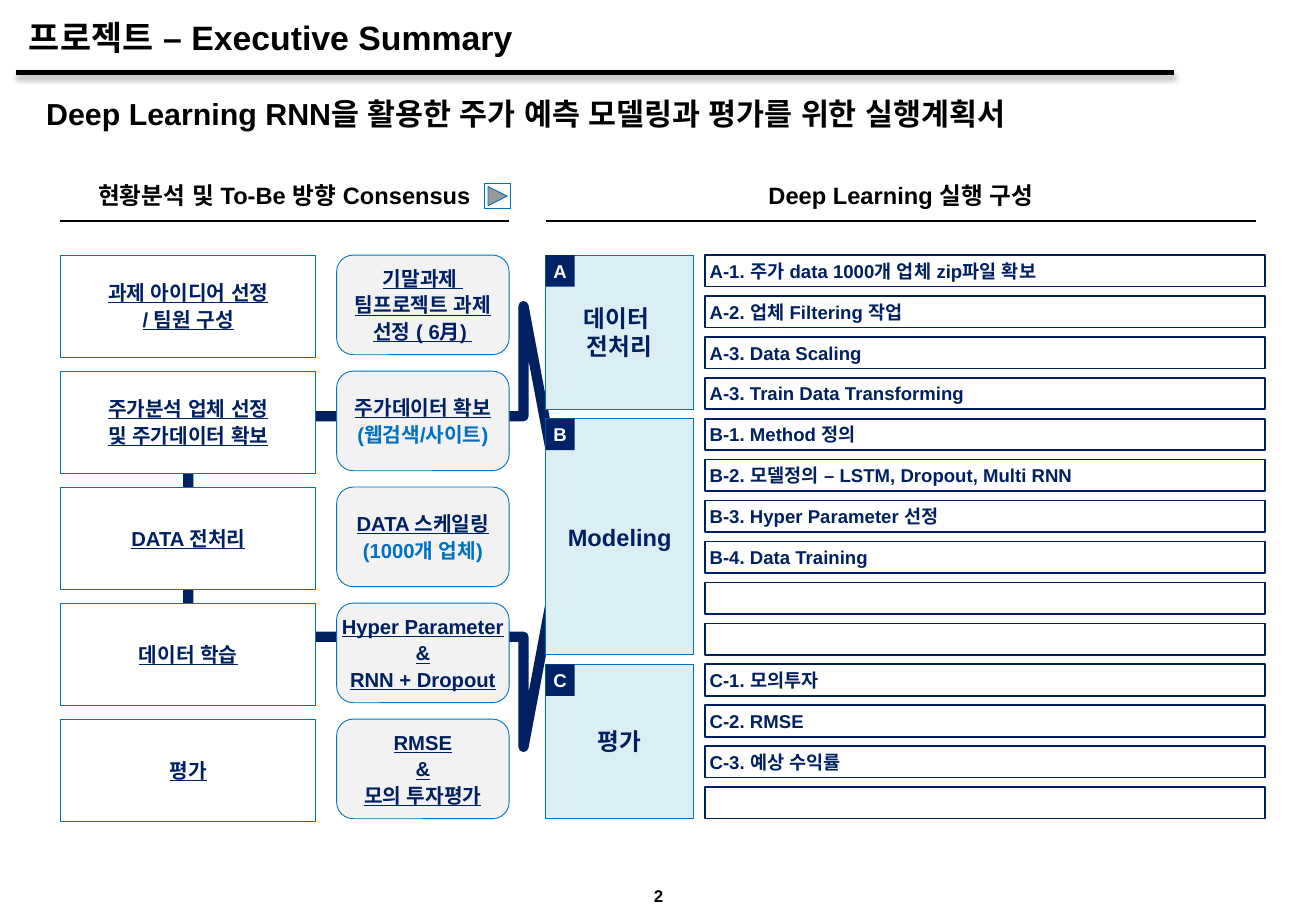
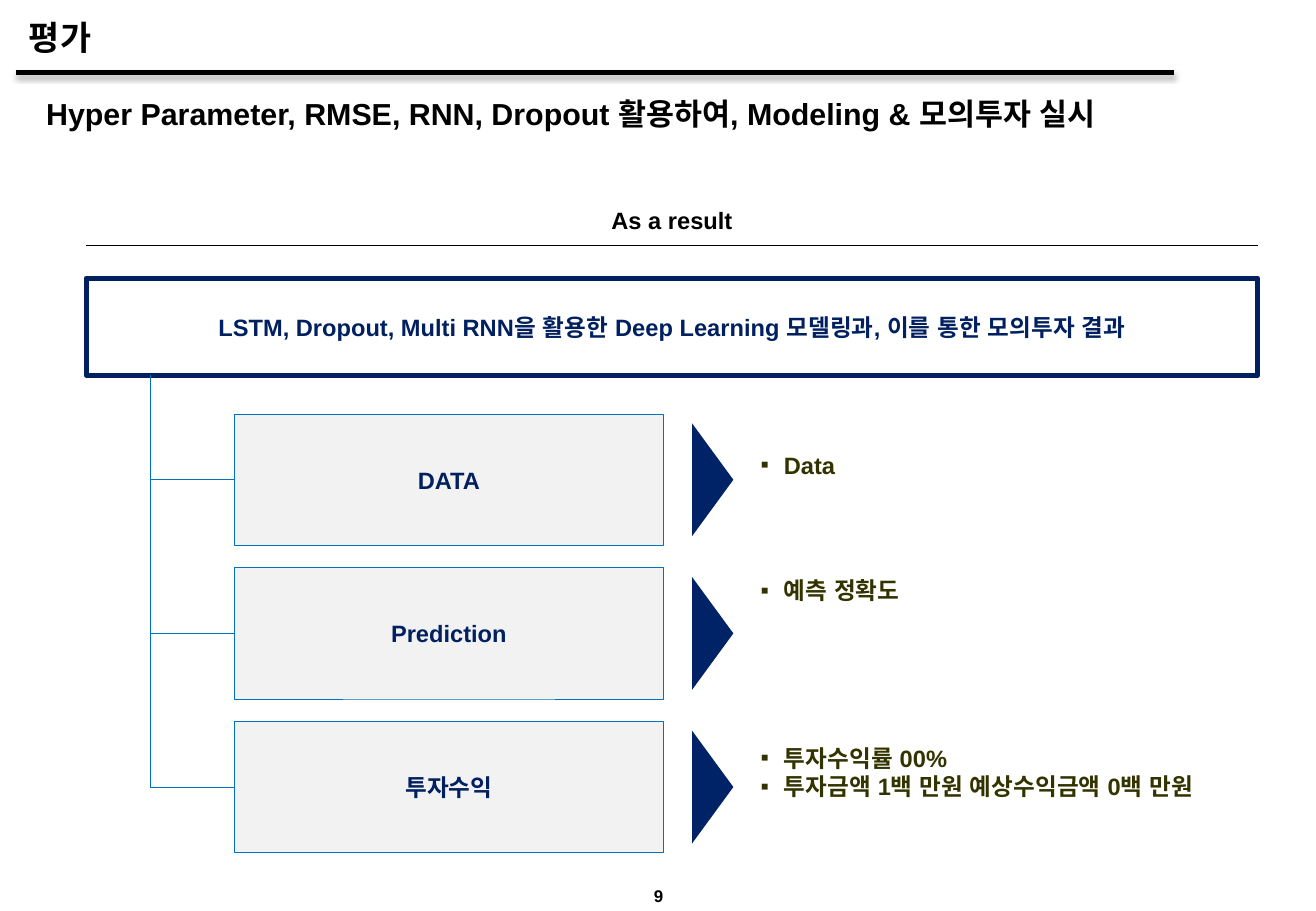
from typing import NamedTuple

from lxml import etree
from pptx import Presentation
from pptx.dml.color import RGBColor
from pptx.enum.shapes import MSO_CONNECTOR as Connector, MSO_SHAPE as Shape
from pptx.enum.text import MSO_ANCHOR as Anchor, PP_ALIGN as Align
from pptx.oxml.ns import qn
from pptx.util import Inches, Pt

FONT = "Arial"
BLACK, WHITE = "000000", "FFFFFF"
NAVY, DEEP_NAVY, BLUE = "002060", "002266", "0070C0"
PALE_BLUE, PALE_GRAY, OLIVE = "DBEEF4", "F2F2F2", "333300"


class Box(NamedTuple):
    """A rectangle in inches."""
    left: float
    top: float
    width: float
    height: float

    def lengths(self):
        """Return the four measures as lengths."""
        return [Inches(value) for value in self]


class Style(NamedTuple):
    """The look of a line of text."""
    size: float = 14
    color: str = BLACK
    underline: bool = False


CARD = Style(12, NAVY, True)
NOTE = Style(12, BLUE)
ITEM = Style(11, NAVY)
LABEL = Style(14, NAVY)

STEPS = [
    (["과제 아이디어 선정", "/ 팀원 구성"], ["기말과제 ", "팀프로젝트 과제", "선정 ( 6月) "], None),
    (["주가분석 업체 선정", "및 주가데이터 확보"], ["주가데이터 확보"], "(웹검색/사이트)"),
    (["DATA 전처리"], ["DATA 스케일링"], "(1000개 업체)"),
    (["데이터 학습"], ["Hyper Parameter", "&", "RNN + Dropout"], None),
    (["평가"], ["RMSE", "&", "모의 투자평가"], None),
]
STAGES = [
    ("A", ["데이터 ", "전처리"], [
        "A-1. 주가 data 1000개 업체 zip파일 확보", "A-2. 업체 Filtering 작업",
        "A-3. Data Scaling", "A-3. Train Data Transforming"]),
    ("B", ["Modeling"], [
        "B-1. Method 정의", "B-2. 모델정의 – LSTM, Dropout, Multi RNN",
        "B-3. Hyper Parameter 선정", "B-4. Data Training", "", ""]),
    ("C", ["평가"], ["C-1. 모의투자", "C-2. RMSE", "C-3. 예상 수익률", ""]),
]
RESULTS = [
    ("DATA", 0.3, ["Data"]),
    ("Prediction", 0.07, ["예측 정확도"]),
    ("투자수익", 0.18, ["투자수익률 00%", "투자금액 1백 만원 예상수익금액 0백 만원"]),
]


def rgb(value):
    """Turn a hex string into a colour."""
    return RGBColor.from_string(value)


def write(shape, lines, align=Align.CENTER, anchor=Anchor.MIDDLE,
          insets=(0, 0), before=0, spacing=None):
    """Write (text, style) lines into a shape and return its paragraphs."""
    frame = shape.text_frame
    frame.word_wrap = True
    frame.vertical_anchor = anchor
    frame.margin_left = frame.margin_right = Inches(insets[0])
    frame.margin_top = frame.margin_bottom = Inches(insets[1])
    for index, (text, style) in enumerate(lines):
        paragraph = frame.add_paragraph() if index else frame.paragraphs[0]
        paragraph.alignment = align
        if before:
            paragraph.space_before = Pt(before)
        if spacing:
            paragraph.line_spacing = spacing
        run = paragraph.add_run()
        run.text = text
        font = run.font
        font.name, font.size, font.bold = FONT, Pt(style.size), True
        font.underline = style.underline
        font.color.rgb = rgb(style.color)
        etree.SubElement(run._r.get_or_add_rPr(), qn("a:ea")).set("typeface", FONT)
    return frame.paragraphs


def add_text(slide, box, lines, **options):
    """Add a text box and return its paragraphs."""
    return write(slide.shapes.add_textbox(*box.lengths()), lines, **options)


def add_figure(slide, kind, box, fill=None, line=None, weight=0.5):
    """Add a preset shape with a flat fill and outline."""
    shape = slide.shapes.add_shape(kind, *box.lengths())
    shape.shadow.inherit = False
    if fill:
        shape.fill.solid()
        shape.fill.fore_color.rgb = rgb(fill)
    else:
        shape.fill.background()
    if line:
        shape.line.color.rgb = rgb(line)
        shape.line.width = Pt(weight)
    else:
        shape.line.fill.background()
    return shape


def add_line(slide, start, end, color=BLACK, weight=0.75, kind=Connector.STRAIGHT):
    """Add a connector without a shadow and return it with its effect list."""
    connector = slide.shapes.add_connector(
        kind, *[Inches(value) for value in (*start, *end)])
    connector.line.color.rgb = rgb(color)
    connector.line.width = Pt(weight)
    effects = etree.SubElement(connector._element.spPr, qn("a:effectLst"))
    return connector, effects


def add_branch(slide, start, end):
    """Add a one-bend connector that runs down and then right."""
    width, height = end[0] - start[0], end[1] - start[1]
    middle_x, middle_y = start[0] + width / 2, start[1] + height / 2
    connector, _ = add_line(
        slide, (middle_x - height / 2, middle_y - width / 2),
        (middle_x + height / 2, middle_y + width / 2), BLUE, 0.5, Connector.ELBOW)
    properties = connector._element.spPr
    properties.find(qn("a:prstGeom")).set("prst", "bentConnector2")
    transform = properties.find(qn("a:xfrm"))
    transform.set("rot", "16200000")
    transform.set("flipH", "1")


def add_bullets(slide, box, lines):
    """Add a list with square bullets."""
    for paragraph in add_text(slide, box, [(text, Style(14, OLIVE)) for text in lines],
                              align=Align.LEFT, anchor=Anchor.TOP):
        properties = paragraph._p.get_or_add_pPr()
        properties.set("marL", str(Inches(0.19)))
        properties.set("indent", str(Inches(-0.19)))
        etree.SubElement(properties, qn("a:buFont")).set("typeface", FONT)
        etree.SubElement(properties, qn("a:buChar")).set("char", "▪")


def add_frame(presentation, title, message, number):
    """Add a slide with its title, rule, key message and page number."""
    slide = presentation.slides.add_slide(presentation.slide_layouts[6])
    add_text(slide, Box(4.99, 7.27, 0.86, 0.21), [(number, Style(10))])
    _, effects = add_line(slide, (0.13, 0.6), (9.66, 0.6), weight=3)
    shadow = etree.SubElement(effects, qn("a:outerShdw"), blurRad=str(Pt(3.1)),
                              dist=str(Pt(1.8)), dir="5400000", rotWithShape="0")
    color = etree.SubElement(shadow, qn("a:srgbClr"), val=BLACK)
    etree.SubElement(color, qn("a:alpha"), val="35000")
    add_text(slide, Box(0.14, 0.05, 9.17, 0.51), [(title, Style(20))],
             align=Align.LEFT, insets=(0.1, 0.05))
    add_text(slide, Box(0.3, 0.73, 10.24, 0.79), [(message, Style(18))],
             align=Align.LEFT, anchor=Anchor.TOP, insets=(0.08, 0.05), before=6)
    return slide


def add_heading(slide, box, text, spacing=None):
    """Add a centred heading with a thin rule along the bottom of its box."""
    bottom = box.top + box.height
    add_line(slide, (box.left, bottom), (box.left + box.width, bottom))
    add_text(slide, box._replace(height=box.height - 0.1), [(text, Style())],
             spacing=spacing)


def add_steps(slide, box):
    """Add the steps on the left and their details on the right."""
    height, detail_width = 0.84, 1.42
    pitch = (box.height - height) / (len(STEPS) - 1)
    detail_left = box.left + box.width - detail_width
    for index, (step, details, note) in enumerate(STEPS):
        top = box.top + index * pitch
        card = add_figure(slide, Shape.RECTANGLE, Box(box.left, top, 2.1, height), WHITE, BLUE)
        write(card, [(text, CARD) for text in step], before=1.5)
        detail = add_figure(slide, Shape.ROUNDED_RECTANGLE,
                            Box(detail_left, top, detail_width, 0.82), PALE_GRAY, BLUE)
        lines = [(text, CARD) for text in details] + ([(note, NOTE)] if note else [])
        write(detail, lines, before=1.5)


def add_stages(slide, box):
    """Add the lettered stages, each beside its rows of tasks."""
    row_height, stage_width, task_left = 0.26, 1.22, 1.31
    row_count = sum(len(tasks) for _, _, tasks in STAGES)
    pitch = (box.height - row_height) / (row_count - 1)
    top = box.top
    for letter, name, tasks in STAGES:
        height = (len(tasks) - 1) * pitch + row_height
        stage = add_figure(slide, Shape.RECTANGLE, Box(box.left, top, stage_width, height),
                           PALE_BLUE, BLUE)
        write(stage, [(text, LABEL) for text in name])
        badge = add_figure(slide, Shape.RECTANGLE, Box(box.left, top, 0.24, row_height), DEEP_NAVY)
        write(badge, [(letter, Style(11, WHITE))])
        for task in tasks:
            row = add_figure(slide, Shape.RECTANGLE,
                             Box(box.left + task_left, top, box.width - task_left, row_height),
                             line=NAVY, weight=1)
            if task:
                write(row, [(task, ITEM)], align=Align.LEFT, insets=(0.04, 0))
            top += pitch


def add_results(slide, box):
    """Add the result rows: branch, label, pointer and bullets."""
    height, label_left, label_width = 1.08, 1.22, 3.53
    pitch = (box.height - height) / (len(RESULTS) - 1)
    trunk_x, trunk_y = box.left + 0.53, box.top - 0.32
    for index, (name, offset, bullets) in enumerate(RESULTS):
        top = box.top + index * pitch
        middle = top + height / 2
        label = add_figure(slide, Shape.RECTANGLE,
                           Box(box.left + label_left, top, label_width, height), PALE_GRAY, BLUE)
        write(label, [(name, LABEL)], before=1.5)
        add_branch(slide, (trunk_x, trunk_y), (box.left + label_left, middle))
        trunk_y = middle
        pointer = add_figure(slide, Shape.ISOSCELES_TRIANGLE,
                             Box(box.left + 4.69, middle - 0.17, 0.93, 0.34), DEEP_NAVY)
        pointer.rotation = 90
        add_bullets(slide, Box(box.left + 5.55, top + offset, 4.08, 0.24 * len(bullets)), bullets)


def build_summary(presentation):
    """Build the executive summary slide."""
    slide = add_frame(presentation, "프로젝트 – Executive Summary",
                      "Deep Learning RNN을 활용한 주가 예측 모델링과 평가를 위한 실행계획서", "2")
    arrow = add_figure(slide, Shape.RIGHT_ARROW, Box(1.55, 2.52, 3.1, 3.63), WHITE, NAVY, 6)
    arrow.adjustments[1] = 0.11
    add_heading(slide, Box(0.49, 1.53, 3.7, 0.29), "현황분석 및 To-Be 방향 Consensus", 0.8)
    add_heading(slide, Box(4.49, 1.53, 5.85, 0.29), "Deep Learning 실행 구성", 0.8)
    add_steps(slide, Box(0.5, 2.1, 3.69, 4.66))
    add_stages(slide, Box(4.49, 2.1, 5.92, 4.64))
    add_figure(slide, Shape.ACTION_BUTTON_FORWARD_OR_NEXT, Box(3.99, 1.51, 0.21, 0.21),
               WHITE, BLUE)


def build_evaluation(presentation):
    """Build the evaluation slide."""
    slide = add_frame(presentation, "평가",
                      "Hyper Parameter, RMSE, RNN, Dropout 활용하여, Modeling & 모의투자 실시", "9")
    add_heading(slide, Box(0.71, 1.7, 9.64, 0.32), "As a result")
    banner = add_figure(slide, Shape.RECTANGLE, Box(0.71, 2.29, 9.64, 0.8), WHITE, NAVY, 3)
    write(banner, [("LSTM, Dropout, Multi RNN을 활용한 Deep Learning 모델링과, "
                    "이를 통한 모의투자 결과", LABEL)], insets=(0.1, 0.05))
    add_results(slide, Box(0.71, 3.41, 9.64, 3.61))


def main():
    """Build and save the presentation."""
    presentation = Presentation()
    presentation.slide_width, presentation.slide_height = Inches(10.83), Inches(7.5)
    build_summary(presentation)
    build_evaluation(presentation)
    presentation.save("out.pptx")


if __name__ == "__main__":
    main()
